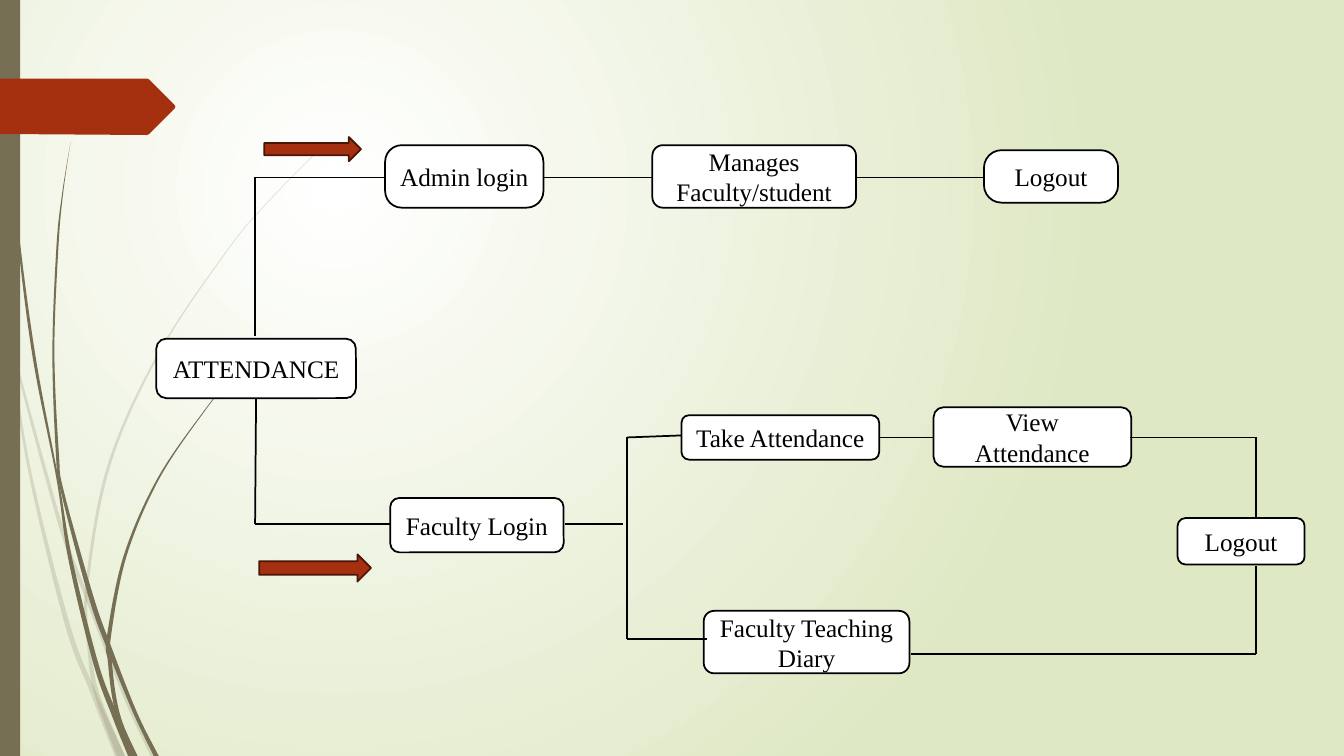
from itertools import pairwise
from lxml.etree import SubElement
from pptx import Presentation
from pptx.dml.color import RGBColor
from pptx.enum.shapes import MSO_CONNECTOR, MSO_SHAPE
from pptx.enum.text import MSO_ANCHOR, PP_ALIGN
from pptx.oxml.ns import qn
from pptx.util import Inches, Pt

# Content
COLORS = {"white": "FFFFFF", "pale": "DFE8C4", "olive": "766F54",
          "rust": "A53010", "brown": "481507", "ink": "000000"}
FONT = "Times New Roman"
W, H = 13.33, 7.5

# Rows and columns the flow lines run along
ADMIN_Y, TAKE_Y, FACULTY_Y, DIARY_Y, EXIT_Y = 1.76, 4.34, 5.2, 6.34, 6.49
ROOT_X, SPLIT_X, EXIT_X = 2.53, 6.22, 12.46

# Text, left, top, width, height, corner rounding
BOXES = [
    ("ATTENDANCE", 1.55, 3.36, 1.98, 0.59, 0.167),
    ("Admin login", 3.82, 1.44, 1.57, 0.62, 0.265),
    ("Faculty Teaching Diary", 6.98, 6.06, 2.04, 0.62, 0.167),
    ("Manages\nFaculty/student", 6.47, 1.44, 2.02, 0.62, 0.167),
    ("Logout", 9.76, 1.49, 1.33, 0.52, 0.333),
    ("Faculty Login", 3.87, 4.94, 1.72, 0.54, 0.167),
    ("Take Attendance", 6.76, 4.12, 1.96, 0.44, 0.167),
    ("View Attendance", 9.26, 4.04, 1.96, 0.59, 0.167),
    ("Logout", 11.68, 5.14, 1.26, 0.46, 0.167),
]
ROUTES = [
    [(ROOT_X, 3.33), (ROOT_X, ADMIN_Y), (3.82, ADMIN_Y)],
    [(5.39, ADMIN_Y), (6.47, ADMIN_Y)],
    [(8.49, ADMIN_Y), (9.76, ADMIN_Y)],
    [(2.54, 3.95), (ROOT_X, FACULTY_Y), (3.87, FACULTY_Y)],
    [(5.6, FACULTY_Y), (6.18, FACULTY_Y)],
    [(SPLIT_X, 5.32), (SPLIT_X, TAKE_Y), (6.76, 4.32)],
    [(SPLIT_X, 5.19), (SPLIT_X, DIARY_Y), (7.01, DIARY_Y)],
    [(8.72, TAKE_Y), (9.26, TAKE_Y)],
    [(11.21, TAKE_Y), (EXIT_X, TAKE_Y), (EXIT_X, 5.13)],
    [(9.04, EXIT_Y), (EXIT_X, EXIT_Y), (EXIT_X, 5.62)],
]
ARROWS = [(2.62, 1.36, 0.96, 0.24), (2.57, 5.5, 1.11, 0.27)]
TAG = [(0, 0.78), (1.46, 0.78), (1.48, 0.79), (1.73, 1.04), (1.74, 1.06),
       (1.73, 1.08), (1.48, 1.33), (1.46, 1.34), (0, 1.33)]

# Grass blades: knots of centre x, y and blade width
PALE_BLADES = [
    [(0, 2.9, 0.01), (0.1, 3.47, 0.02), (0.3, 4.7, 0.03), (0.67, 6.2, 0.05),
     (0.93, 6.88, 0.06), (1.19, 7.5, 0.1)],
    [(0.14, 3.45, 0), (0.16, 3.6, 0.02), (0.6, 5.21, 0.04), (0.86, 5.92, 0.04),
     (1.25, 6.93, 0.04), (1.52, 7.5, 0.05)],
    [(3.12, 1.53, 0.01), (2.68, 1.98, 0.01), (2.28, 2.45, 0.01),
     (1.59, 3.48, 0.02), (1.08, 4.62, 0.03), (0.86, 5.84, 0.03),
     (0.89, 6.46, 0.04), (0.96, 6.88, 0.05), (1.2, 7.5, 0.08)],
]
DARK_BLADES = [
    [(0.04, 0, 0.01), (0.07, 1.1, 0.01), (0.18, 2.33, 0.02), (0.34, 3.55, 0.03),
     (0.57, 4.75, 0.02), (0.7, 5.56, 0.04), (0.95, 6.58, 0.05), (1.14, 7.1, 0.06),
     (1.3, 7.5, 0.06)],
    [(0.7, 1.41, 0), (0.62, 1.93, 0.01), (0.57, 2.45, 0.02), (0.53, 3.49, 0.02),
     (0.57, 4.51, 0.03), (0.62, 4.88, 0.03), (0.9, 5.91, 0.05),
     (1.08, 6.42, 0.05), (1.34, 7.07, 0.04), (1.55, 7.5, 0.05)],
    [(2.6, 3.44, 0.01), (2.31, 3.74, 0.01), (2.04, 4.06, 0.01),
     (1.57, 4.75, 0.02), (1.24, 5.52, 0.03), (1.08, 6.32, 0.04),
     (1.09, 6.56, 0.04), (1.13, 6.9, 0.04), (1.2, 7.18, 0.04), (1.34, 7.5, 0.05)],
]

prs = Presentation()
prs.slide_width, prs.slide_height = Inches(W), Inches(H)
s = prs.slides.add_slide(prs.slide_layouts[6])


def rgb(name):
    return RGBColor.from_string(COLORS[name])


def paint(sp, fill, line=None, alpha=None):
    sp.shadow.inherit = False
    sp.fill.solid()
    sp.fill.fore_color.rgb = rgb(fill)
    if alpha:
        color = next(sp._element.spPr.iter(qn("a:srgbClr")))
        SubElement(color, qn("a:alpha"), val=str(alpha * 1000))
    if line:
        sp.line.color.rgb = rgb(line)
        sp.line.width = Pt(1.25)
    else:
        sp.line.fill.background()
    return sp


def add_block(kind, at, fill, line=None):
    return paint(s.shapes.add_shape(kind, *map(Inches, at)), fill, line)


def add_outline(points, fill, alpha=None):
    start, *rest = [(Inches(x), Inches(y)) for x, y in points]
    fb = s.shapes.build_freeform(*start)
    fb.add_line_segments(rest)
    return paint(fb.convert_to_shape(), fill, alpha=alpha)


def controls(side):
    """Bezier points, three for each span, of a smooth curve through a side."""
    ext = [side[0], *side, side[-1]]
    points = []
    for a, b, c, d in zip(ext, ext[1:], ext[2:], ext[3:]):
        points += [(b[0] + (c[0] - a[0]) / 6, b[1] + (c[1] - a[1]) / 6),
                   (c[0] - (d[0] - b[0]) / 6, c[1] - (d[1] - b[1]) / 6), c]
    return points


def add_blade(knots, alpha=None):
    left = [(x - w / 2, y) for x, y, w in knots]
    right = [(x + w / 2, y) for x, y, w in reversed(knots)]
    tip = [left[-1], right[0], right[0]]
    sp = add_outline([left[0]] + controls(left) + tip + controls(right),
                     "olive", alpha)
    # Turn each three straight segments into one curve
    outline = next(sp._element.iter(qn("a:path")))
    lines = outline.findall(qn("a:lnTo"))
    for trio in zip(lines[::3], lines[1::3], lines[2::3]):
        curve = SubElement(outline, qn("a:cubicBezTo"))
        for line in trio:
            curve.append(line[0])
            outline.remove(line)
    outline.append(outline.find(qn("a:close")))


def write(sp, text, size=18, color="ink", font=FONT, align=PP_ALIGN.CENTER):
    tf = sp.text_frame
    tf.word_wrap = True
    tf.vertical_anchor = MSO_ANCHOR.MIDDLE
    for i, line in enumerate(text.split("\n")):
        p = tf.add_paragraph() if i else tf.paragraphs[0]
        p.alignment = align
        r = p.add_run()
        r.text = line
        r.font.size, r.font.name = Pt(size), font
        r.font.color.rgb = rgb(color)


# Background glow
bg = s.background.fill
bg.gradient()
for stop, name in zip(bg.gradient_stops, ("white", "pale")):
    stop.color.rgb = rgb(name)
grad = next(s._element.iter(qn("a:gradFill")))
grad.remove(grad.find(qn("a:lin")))
glow = SubElement(grad, qn("a:path"), path="circle")
SubElement(glow, qn("a:fillToRect"), l="50000", t="50000", r="100000", b="100000")

# Decoration at the left edge
for blade in PALE_BLADES:
    add_blade(blade, alpha=20)
for blade in DARK_BLADES:
    add_blade(blade)
add_block(MSO_SHAPE.RECTANGLE, (0, 0, 0.2, H), "olive")
add_outline(TAG, "rust")

# Flow boxes
for text, *at, rounding in BOXES:
    box = add_block(MSO_SHAPE.ROUNDED_RECTANGLE, at, "white", "ink")
    box.adjustments[0] = rounding
    write(box, text)

# Flow lines
for route in ROUTES:
    for start, end in pairwise(route):
        cn = s.shapes.add_connector(MSO_CONNECTOR.STRAIGHT,
                                    *map(Inches, start + end))
        cn.line.color.rgb = rgb("ink")
        cn.line.width = Pt(1.25)
        SubElement(cn._element.spPr, qn("a:effectLst"))

# Direction arrows
for at in ARROWS:
    add_block(MSO_SHAPE.RIGHT_ARROW, at, "rust", "brown")

prs.save("out.pptx")
